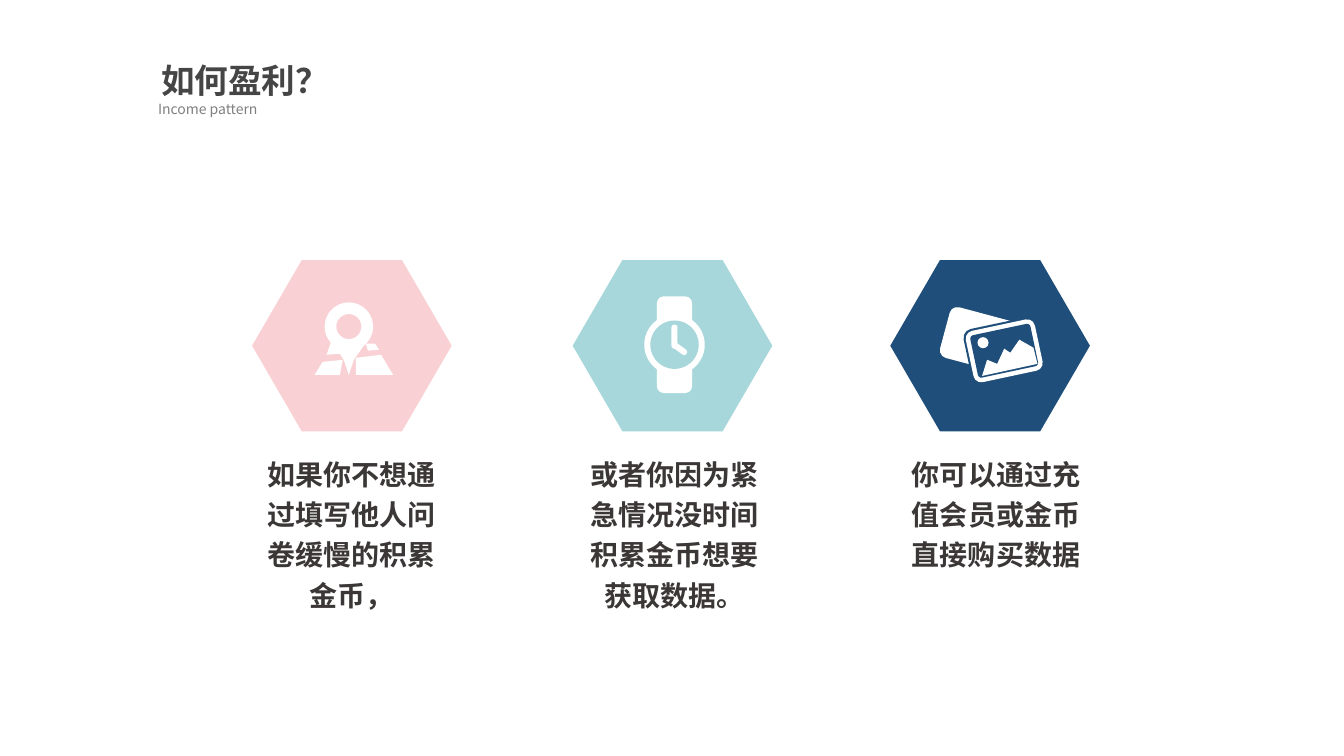
from pptx import Presentation
from pptx.dml.color import RGBColor
from pptx.enum.shapes import MSO_SHAPE
from pptx.enum.text import MSO_AUTO_SIZE, PP_ALIGN
from pptx.oxml.ns import qn
from pptx.util import Inches, Pt

HEXAGON, OVAL = MSO_SHAPE.HEXAGON, MSO_SHAPE.OVAL
ROUNDED, DONUT = MSO_SHAPE.ROUNDED_RECTANGLE, MSO_SHAPE.DONUT
FIT, LEFT, CENTER = MSO_AUTO_SIZE.SHAPE_TO_FIT_TEXT, PP_ALIGN.LEFT, PP_ALIGN.CENTER

FONT = "Noto Sans CJK SC"
WHITE, PINK, TEAL, NAVY = "FFFFFF", "F9D1D4", "A7D7DA", "1E4E79"
TITLE_COLOR, SUBTITLE_COLOR, BODY_COLOR = "454545", "808080", "3B3737"

TITLE = "如何盈利？"
SUBTITLE = "Income pattern"

# Icon parts, in inches from the centre of their hexagon.
# Preset: (kind, centre x, centre y, width, height, rotation, adjustment, fill)
# Polygon: a list of corner points, always white
PIN = [
    (DONUT, -0.03, -0.19, 0.48, 0.48, 0, 0.24, WHITE),
    [(-0.21, -0.03), (-0.25, 0.09), (-0.12, 0.08), (-0.08, 0.14), (-0.03, 0.29),
     (0.02, 0.14), (0.11, 0.01), (0.15, -0.03)],
    [(0.14, -0.02), (0.23, -0.02), (0.27, 0.04), (0.16, 0.05)],
    [(-0.29, 0.16), (-0.09, 0.14), (-0.12, 0.29), (-0.37, 0.29)],
    [(0.04, 0.12), (0.29, 0.09), (0.41, 0.29), (0.04, 0.29)],
]
WATCH = [
    (ROUNDED, 0.02, -0.01, 0.35, 0.96, 0, 0.2, WHITE),
    (OVAL, 0.02, -0.01, 0.6, 0.6, 0, None, WHITE),
    (OVAL, 0.02, -0.01, 0.48, 0.48, 0, None, TEAL),
    (ROUNDED, 0.02, -0.09, 0.06, 0.24, 0, 0.5, WHITE),
    (ROUNDED, 0.07, 0.03, 0.17, 0.06, 36, 0.5, WHITE),
]
PHOTOS = [
    (ROUNDED, -0.11, -0.06, 0.7, 0.52, 15, 0.15, WHITE),
    (ROUNDED, 0.14, 0.05, 0.74, 0.56, -12, 0.16, NAVY),
    (ROUNDED, 0.14, 0.05, 0.7, 0.52, -12, 0.15, WHITE),
    (ROUNDED, 0.14, 0.05, 0.61, 0.43, -12, 0.08, NAVY),
    (OVAL, -0.07, -0.03, 0.11, 0.11, 0, None, WHITE),
    [(0.2, 0.07), (0.14, 0.03), (0.07, 0.18), (-0.03, 0.14), (-0.08, 0.3),
     (0.47, 0.18), (0.43, 0.02), (0.29, -0.06)],
]

# (hexagon left, text left, hexagon fill, icon, text, text lines)
COLUMNS = [
    (2.5, 2.47, PINK, PIN, "如果你不想通过填写他人问卷缓慢的积累金币，", 4),
    (5.68, 5.67, TEAL, WATCH, "或者你因为紧急情况没时间积累金币想要获取数据。", 4),
    (8.83, 8.86, NAVY, PHOTOS, "你可以通过充值会员或金币直接购买数据", 3),
]
HEXAGON_TOP, HEXAGON_WIDTH, HEXAGON_HEIGHT = 2.58, 1.98, 1.7
TEXT_TOP, TEXT_WIDTH, LINE_HEIGHT, TEXT_PADDING = 4.42, 2.04, 0.4, 0.08


def color(value):
    return RGBColor.from_string(value)


def paint(shape, fill):
    shape.shadow.inherit = False
    shape.fill.solid()
    shape.fill.fore_color.rgb = color(fill)
    shape.line.fill.background()


def add_preset(slide, kind, center_x, center_y, width, height, rotation, adjustment, fill):
    shape = slide.shapes.add_shape(
        kind, Inches(center_x - width / 2), Inches(center_y - height / 2),
        Inches(width), Inches(height))
    shape.rotation = rotation
    if adjustment is not None:
        shape.adjustments[0] = adjustment
    paint(shape, fill)


def add_polygon(slide, points, fill):
    corners = [(Inches(x), Inches(y)) for x, y in points]
    builder = slide.shapes.build_freeform(*corners[0])
    builder.add_line_segments(corners[1:], close=True)
    paint(builder.convert_to_shape(), fill)


def add_icon(slide, parts, center_x, center_y):
    for part in parts:
        if isinstance(part, list):
            add_polygon(slide, [(center_x + x, center_y + y) for x, y in part], WHITE)
        else:
            kind, x, y, *form = part
            add_preset(slide, kind, center_x + x, center_y + y, *form)


def add_text(slide, text, left, top, width, height, *, size, fill, bold=False,
             align=LEFT, spacing=1.0):
    box = slide.shapes.add_textbox(Inches(left), Inches(top), Inches(width), Inches(height))
    frame = box.text_frame
    frame.word_wrap = True
    frame.auto_size = FIT
    paragraph = frame.paragraphs[0]
    paragraph.alignment = align
    paragraph.line_spacing = spacing
    run = paragraph.add_run()
    run.text = text
    run.font.name = FONT
    run.font.size = Pt(size)
    run.font.bold = bold
    run.font.color.rgb = color(fill)
    east_asian = run.font._element.makeelement(qn("a:ea"), {"typeface": FONT})
    run.font._element.find(qn("a:latin")).addnext(east_asian)


def main():
    presentation = Presentation()
    presentation.slide_width, presentation.slide_height = Inches(13.33), Inches(7.5)
    slide = presentation.slides.add_slide(presentation.slide_layouts[6])

    add_text(slide, SUBTITLE, 1.47, 0.95, 4.33, 0.27, size=10, fill=SUBTITLE_COLOR)
    add_text(slide, TITLE, 1.5, 0.55, 2.8, 0.5, size=24, fill=TITLE_COLOR, bold=True)

    center_y = HEXAGON_TOP + HEXAGON_HEIGHT / 2
    for left, text_left, fill, icon, text, lines in COLUMNS:
        center_x = left + HEXAGON_WIDTH / 2
        add_preset(slide, HEXAGON, center_x, center_y, HEXAGON_WIDTH, HEXAGON_HEIGHT,
                   0, 0.29, fill)
        add_icon(slide, icon, center_x, center_y)
        add_text(slide, text, text_left, TEXT_TOP, TEXT_WIDTH,
                 lines * LINE_HEIGHT + TEXT_PADDING, size=20, fill=BODY_COLOR,
                 bold=True, align=CENTER, spacing=1.2)

    presentation.save("out.pptx")


if __name__ == "__main__":
    main()
